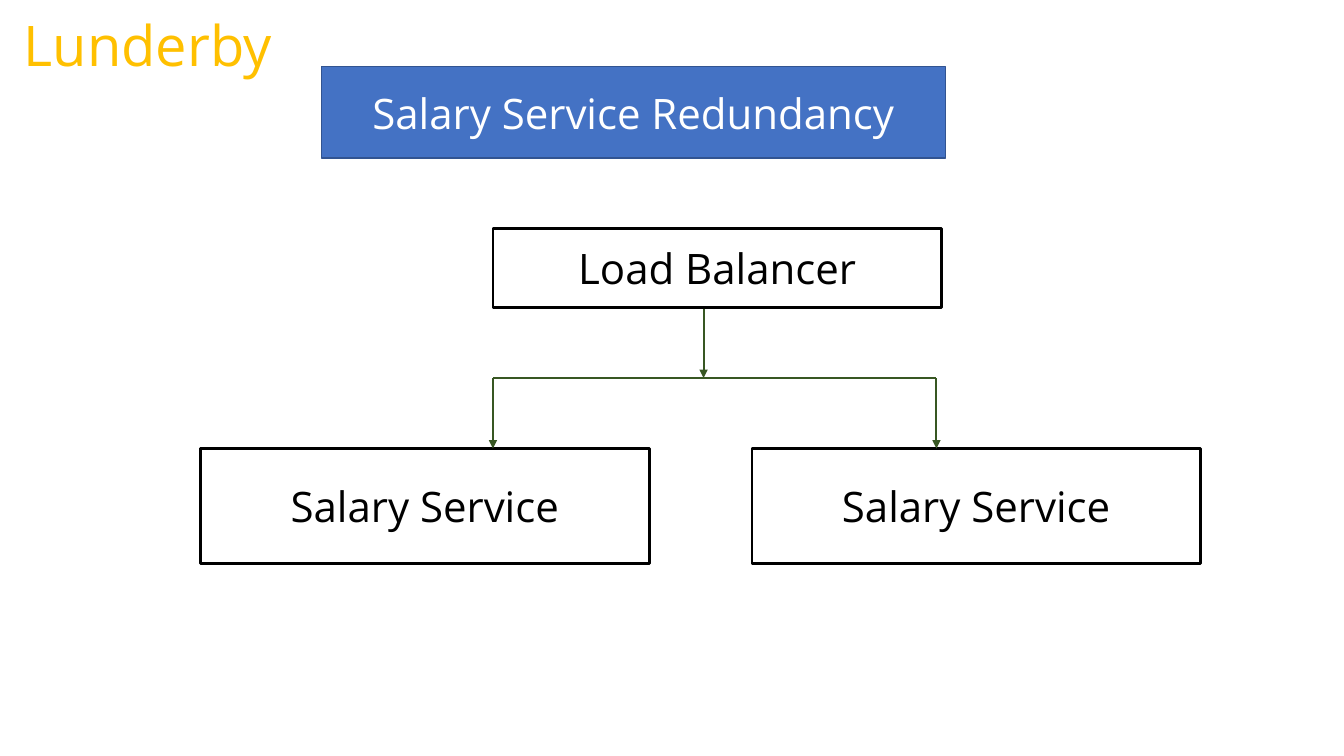
from dataclasses import dataclass

from lxml import etree
from pptx import Presentation
from pptx.dml.color import RGBColor
from pptx.enum.shapes import MSO_CONNECTOR, MSO_SHAPE
from pptx.enum.text import MSO_ANCHOR, MSO_AUTO_SIZE, PP_ALIGN
from pptx.oxml.ns import qn
from pptx.util import Pt

STRAIGHT = MSO_CONNECTOR.STRAIGHT
RECTANGLE = MSO_SHAPE.RECTANGLE
MIDDLE, TOP = MSO_ANCHOR.MIDDLE, MSO_ANCHOR.TOP
CENTER, LEFT = PP_ALIGN.CENTER, PP_ALIGN.LEFT
TITLE_ONLY = 5


@dataclass(frozen=True)
class Theme:
    """Colours, font and sizes of the slide."""
    font: str = "Open Sans"
    brand_size: float = 40
    label_size: float = 30
    white: str = "FFFFFF"
    ink: str = "000000"
    gold: str = "FFC000"
    banner: str = "4472C4"
    banner_edge: str = "325491"
    flow: str = "385723"
    banner_line: float = 1
    box_line: float = 2
    flow_line: float = 1.5


THEME = Theme()

# Content
BRAND = "Lunderby"
HEADING = "Salary Service Redundancy"
BALANCER = "Load Balancer"
SERVICES = ["Salary Service", "Salary Service"]

# Layout, in points
SLIDE_SIZE = (960, 540)
BRAND_AREA = (10, 4.3, 198, 55.4)
HEADING_AREA = (229.7, 47.5, 445.7, 65.5)
BOX_WIDTH = 320.4
BALANCER_LEFT, BALANCER_TOP, BALANCER_HEIGHT = 352.1, 163.4, 56.2
SERVICE_LEFT, SERVICE_HEIGHT, SERVICE_GAP = 143.3, 82, 73.4
DROP = 50.4
TRUNK_X = 502.6
BRANCH_XS = (352.1, 668.9)


def place(part, area):
    """Move and size a part to (left, top, width, height)."""
    for field, value in zip(("left", "top", "width", "height"), area):
        setattr(part, field, Pt(value))


def write(part, text, size, color, align=CENTER, anchor=MIDDLE, wrap=True):
    """Put one formatted line of text into a part."""
    frame = part.text_frame
    frame.text = text
    paragraph = frame.paragraphs[0]
    font = paragraph.runs[0].font
    formats = {
        frame: {"word_wrap": wrap, "vertical_anchor": anchor,
                "auto_size": MSO_AUTO_SIZE.NONE},
        paragraph: {"alignment": align, "line_spacing": 1.0},
        font: {"name": THEME.font, "size": Pt(size), "bold": False},
    }
    for target, values in formats.items():
        for field, value in values.items():
            setattr(target, field, value)
    font.color.rgb = RGBColor.from_string(color)


def outline(part, color, width):
    """Set the line colour and width of a shape or connector."""
    part.line.color.rgb = RGBColor.from_string(color)
    part.line.width = Pt(width)


def add_box(slide, text, area):
    """Add an unfilled box with a centred label."""
    box = slide.shapes.add_shape(RECTANGLE, *map(Pt, area))
    box.shadow.inherit = False
    box.fill.background()
    outline(box, THEME.ink, THEME.box_line)
    write(box, text, THEME.label_size, THEME.ink)


def add_flow(slide, start, end, arrow=True):
    """Add a flow line, with an arrowhead at its end if asked."""
    flow = slide.shapes.add_connector(STRAIGHT, *map(Pt, start + end))
    outline(flow, THEME.flow, THEME.flow_line)
    if arrow:
        line = flow.line._get_or_add_ln()
        etree.SubElement(line, qn("a:tailEnd"), type="triangle")
    etree.SubElement(flow._element.spPr, qn("a:effectLst"))


def build():
    """Build the slide and save it."""
    deck = Presentation()
    deck.slide_width, deck.slide_height = map(Pt, SLIDE_SIZE)
    slide = deck.slides.add_slide(deck.slide_layouts[TITLE_ONLY])

    heading = slide.shapes.title
    place(heading, HEADING_AREA)
    heading.fill.solid()
    heading.fill.fore_color.rgb = RGBColor.from_string(THEME.banner)
    outline(heading, THEME.banner_edge, THEME.banner_line)
    write(heading, HEADING, THEME.label_size, THEME.white)

    brand = slide.shapes.add_textbox(*map(Pt, BRAND_AREA))
    write(brand, BRAND, THEME.brand_size, THEME.gold, LEFT, TOP, wrap=False)

    trunk_top = BALANCER_TOP + BALANCER_HEIGHT
    bus_y = trunk_top + DROP
    service_top = bus_y + DROP
    for index, service in enumerate(SERVICES):
        left = SERVICE_LEFT + index * (BOX_WIDTH + SERVICE_GAP)
        add_box(slide, service, (left, service_top, BOX_WIDTH, SERVICE_HEIGHT))

    for branch_x in BRANCH_XS:
        add_flow(slide, (branch_x, bus_y), (branch_x, service_top))
    add_flow(slide, (TRUNK_X, trunk_top), (TRUNK_X, bus_y))
    add_flow(slide, (BRANCH_XS[0], bus_y), (BRANCH_XS[-1], bus_y), arrow=False)

    add_box(slide, BALANCER,
            (BALANCER_LEFT, BALANCER_TOP, BOX_WIDTH, BALANCER_HEIGHT))
    deck.save("out.pptx")


build()
